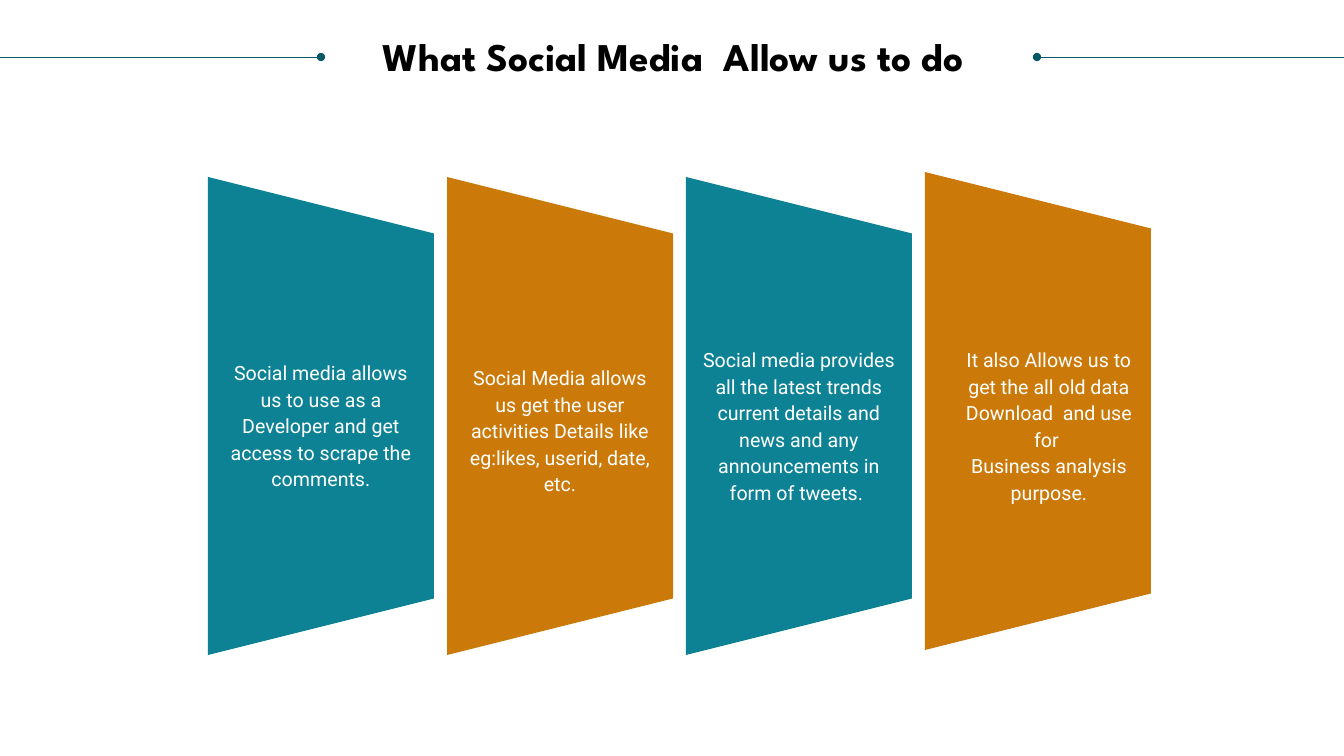
import pptx
import pptx.util
from pptx.dml.color import RGBColor
from pptx.enum.shapes import MSO_CONNECTOR, MSO_SHAPE
from pptx.enum.text import MSO_ANCHOR, MSO_AUTO_SIZE, PP_ALIGN
from pptx.oxml.ns import qn
from lxml import etree

TEAL = RGBColor(0x0D, 0x82, 0x95)
ORANGE = RGBColor(0xCB, 0x7A, 0x09)
DARK_TEAL = RGBColor(0x08, 0x57, 0x64)
WHITE = RGBColor(0xFF, 0xFF, 0xFF)
BLACK = RGBColor(0x00, 0x00, 0x00)

TITLE = "What Social Media  Allow us to do "
PANELS = [
    (TEAL, 177, (224, 358, 105),
     "Social media allows us to use as a Developer and get access to scrape the comments."),
    (ORANGE, 177, (463, 363, 105),
     "Social Media allows us get the user activities Details like eg:likes, userid, date, etc."),
    (TEAL, 177, (702, 345, 159),
     "Social media provides all the latest trends current details and news and any "
     "announcements in form of tweets. "),
    (ORANGE, 172, (952, 345, 132),
     "It also Allows us to get the all old data Download  and use for \n"
     "Business analysis purpose."),
]
RULES = [(1037, 1344, "headEnd"), (0, 321, "tailEnd")]

SLIDE_WIDTH, SLIDE_HEIGHT = 1344, 756
RULE_TOP = 57
PANEL_LEFT, PANEL_STEP = 208, 239
PANEL_WIDTH, PANEL_HEIGHT = 226, 478
TEXT_WIDTH = 194


def px(*lengths):
    return [round(length * 914400 / 100.8) for length in lengths]


def format_text(shape, font_name, size, color, line_spacing, bold=False):
    frame = shape.text_frame
    frame.word_wrap = True
    frame.auto_size = MSO_AUTO_SIZE.NONE
    frame.vertical_anchor = MSO_ANCHOR.TOP
    frame.margin_left = frame.margin_right = frame.margin_top = frame.margin_bottom = 0
    for paragraph in frame.paragraphs:
        paragraph.alignment = PP_ALIGN.CENTER
        paragraph.line_spacing = line_spacing
        for run in paragraph.runs:
            run.font.name = font_name
            run.font.size = pptx.util.Pt(size)
            run.font.bold = bold
            run.font.color.rgb = color


def add_rule(slide, start, end, dot_end):
    rule = slide.shapes.add_connector(
        MSO_CONNECTOR.STRAIGHT, *px(start, RULE_TOP, end, RULE_TOP))
    rule.line.color.rgb = DARK_TEAL
    rule.line.width = pptx.util.Pt(0.5)
    etree.SubElement(rule.line._get_or_add_ln(), qn("a:" + dot_end), type="oval")
    etree.SubElement(rule._element.spPr, qn("a:effectLst"))


def add_panel(slide, left, top, color):
    turned_left = left + (PANEL_WIDTH - PANEL_HEIGHT) / 2
    turned_top = top + (PANEL_HEIGHT - PANEL_WIDTH) / 2
    panel = slide.shapes.add_shape(
        MSO_SHAPE.TRAPEZOID, *px(turned_left, turned_top, PANEL_HEIGHT, PANEL_WIDTH))
    panel.rotation = 90
    panel.adjustments[0] = 0.25
    panel.shadow.inherit = False
    panel.fill.solid()
    panel.fill.fore_color.rgb = color
    panel.line.fill.background()


presentation = pptx.Presentation()
presentation.slide_width, presentation.slide_height = px(SLIDE_WIDTH, SLIDE_HEIGHT)
slide = presentation.slides.add_slide(presentation.slide_layouts[5])

title = slide.shapes.title
title.left, title.top, title.width, title.height = px(32, 38, 1293, 42)
title.text_frame.text = TITLE
format_text(title, "League Spartan", 28, BLACK, 0.9, bold=True)

for start, end, dot_end in RULES:
    add_rule(slide, start, end, dot_end)

for index, (color, top, (text_left, text_top, text_height), text) in enumerate(PANELS):
    add_panel(slide, PANEL_LEFT + index * PANEL_STEP, top, color)
    caption = slide.shapes.add_textbox(*px(text_left, text_top, TEXT_WIDTH, text_height))
    caption.text_frame.text = text
    format_text(caption, "Roboto", 14, WHITE, pptx.util.Pt(19))

presentation.save("out.pptx")
